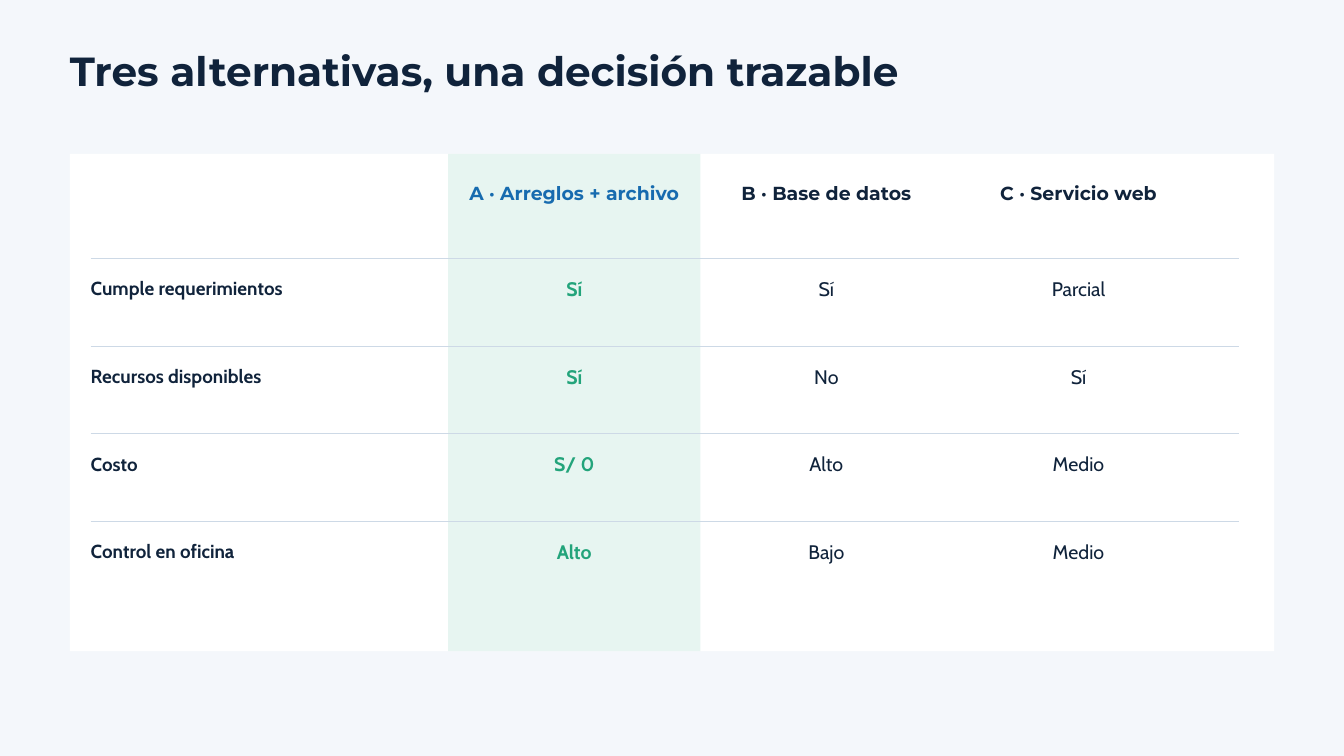
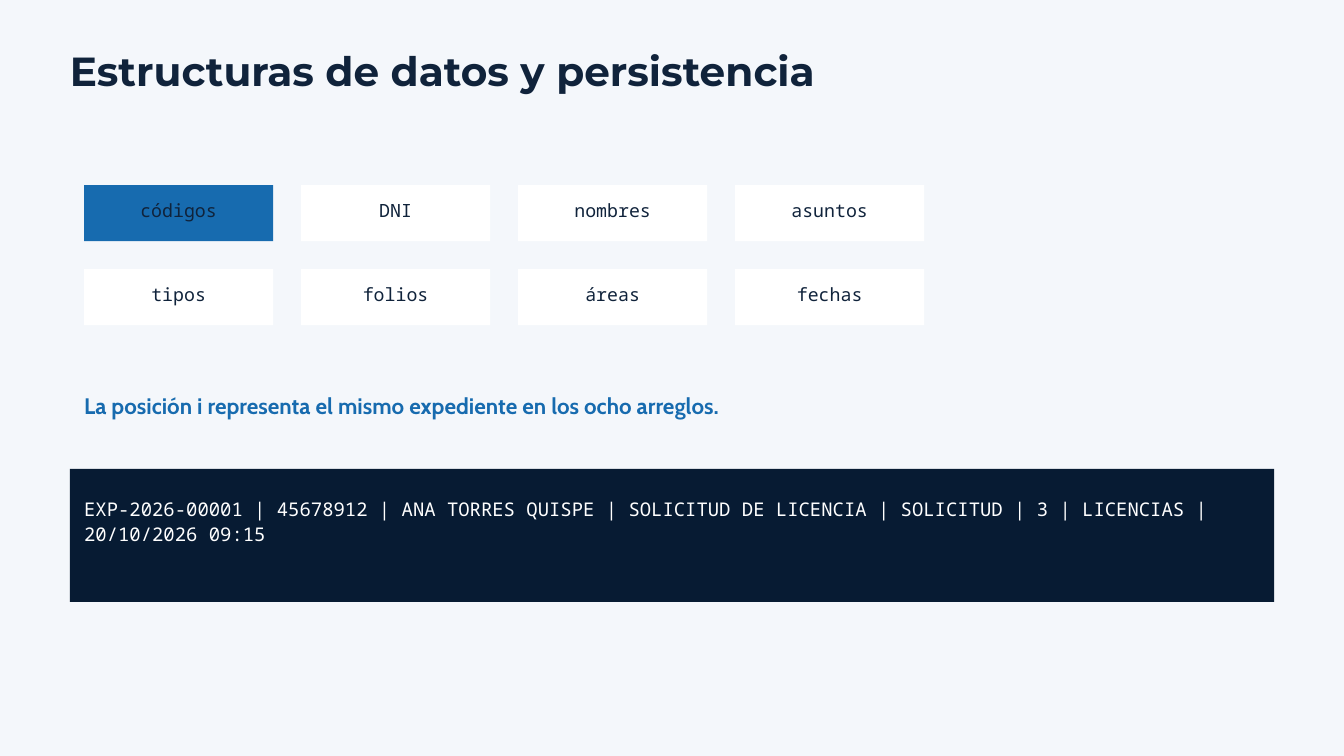
from lxml import etree
from pptx import Presentation
from pptx import util as u
from pptx.dml import color as clr
from pptx.enum import shapes, text
from pptx.oxml import ns

INK, BLUE, GREEN, WHITE = "10233B", "176BAF", "23A47B", "FFFFFF"
PAPER, MINT, RULE, NIGHT = "F4F7FB", "E7F5F1", "CDD9E6", "071B33"
LEFT, PANEL_W = 2.64, 45.52

# Text styles: font values, colour and line spacing in points
STYLES = {
    "title": (dict(name="Montserrat", size=u.Pt(43.5), bold=True), INK, 45.7),
    "head": (dict(name="Montserrat", size=u.Pt(20.25), bold=True), INK, 21.3),
    "label": (dict(name="Cabin", size=u.Pt(20.25), bold=True), INK, 27.35),
    "value": (dict(name="Cabin", size=u.Pt(21), bold=False), INK, 28.4),
    "chosen": (dict(name="Cabin", size=u.Pt(21), bold=True), GREEN, 28.4),
    "tile": (dict(name="Noto Sans Mono", size=u.Pt(19.5), bold=False), INK, 26.3),
    "note": (dict(name="Cabin", size=u.Pt(24), bold=True), BLUE, 32.4),
    "record": (dict(name="Noto Sans Mono", size=u.Pt(20.25), bold=False), WHITE, 27.35),
}

CRITERIA = [
    ("", "A · Arreglos + archivo", "B · Base de datos", "C · Servicio web"),
    ("Cumple requerimientos", "Sí", "Sí", "Parcial"),
    ("Recursos disponibles", "Sí", "No", "Sí"),
    ("Costo", "S/ 0", "Alto", "Medio"),
    ("Control en oficina", "Alto", "Bajo", "Medio"),
]
ARRAYS = ["códigos", "DNI", "nombres", "asuntos", "tipos", "folios", "áreas", "fechas"]
RECORD = ("EXP-2026-00001 | 45678912 | ANA TORRES QUISPE | SOLICITUD DE LICENCIA"
          " | SOLICITUD | 3 | LICENCIAS | 20/10/2026 09:15")


def rgb(value):
    return clr.RGBColor.from_string(value)


def paint(fill, color):
    fill.solid()
    fill.fore_color.rgb = rgb(color)


def set_margins(obj, left=0, top=0, right=0, bottom=0):
    """Set the margins of a text frame or a table cell, in cm."""
    for side, size in dict(left=left, top=top, right=right, bottom=bottom).items():
        setattr(obj, f"margin_{side}", u.Cm(size))


def write(tf, words, style, centred=False, color=None):
    font, ink, spacing = STYLES[style]
    tf.word_wrap = True
    p = tf.paragraphs[0]
    p.alignment = text.PP_ALIGN.CENTER if centred else text.PP_ALIGN.LEFT
    p.line_spacing = u.Pt(spacing)
    r = p.add_run()
    r.text = words
    for name, value in font.items():
        setattr(r.font, name, value)
    r.font.color.rgb = rgb(color or ink)


def add_text(s, box, words, style):
    tf = s.shapes.add_textbox(*map(u.Cm, box)).text_frame
    set_margins(tf)
    write(tf, words, style)


def add_panel(s, box, color):
    sp = s.shapes.add_shape(shapes.MSO_SHAPE.RECTANGLE, *map(u.Cm, box))
    sp.shadow.inherit = False
    sp.line.fill.background()
    paint(sp.fill, color)
    sp.text_frame.vertical_anchor = text.MSO_ANCHOR.TOP
    return sp


def add_rule(s, x, y, w):
    line = s.shapes.add_connector(shapes.MSO_CONNECTOR.STRAIGHT,
                                  *map(u.Cm, (x, y, x + w, y)))
    line.line.color.rgb = rgb(RULE)
    line.line.width = u.Pt(1.5)
    etree.SubElement(line._element.spPr, ns.qn("a:effectLst"))


def clear_cell(cell):
    """Leave a table cell without fill and borders."""
    cell.fill.background()
    tc_pr = cell._tc.get_or_add_tcPr()
    for i, side in enumerate("LRTB"):
        ln = etree.Element(ns.qn(f"a:ln{side}"))
        etree.SubElement(ln, ns.qn("a:noFill"))
        tc_pr.insert(i, ln)


def add_comparison(s, box):
    """White panel with the table of alternatives, the chosen column tinted."""
    x, y, w, h = box
    indent, end_gap, option_w, spare = 0.79, 1.32, 9.53, 1.31
    table_x, table_w = x + indent, w - indent - end_gap
    widths = [table_w - 3 * option_w - spare, option_w, option_w, option_w + spare]
    heights = [3.96, 3.31, 3.31, 3.31]
    heights.append(h - sum(heights))

    add_panel(s, box, WHITE)
    add_panel(s, (table_x + widths[0], y, option_w, h), MINT)
    for i in range(1, len(heights)):
        add_rule(s, table_x, y + sum(heights[:i]), table_w)

    table = s.shapes.add_table(len(heights), len(widths),
                               *map(u.Cm, (table_x, y, table_w, h))).table
    table.first_row = table.horz_banding = False
    for col, width in zip(table.columns, widths):
        col.width = u.Cm(width)
    for i, (row, height, entries) in enumerate(zip(table.rows, heights, CRITERIA)):
        row.height = u.Cm(height)
        for j, (cell, words) in enumerate(zip(row.cells, entries)):
            chosen = j == 1
            set_margins(cell, top=0.62 if i else 1.17, right=spare if j == 3 else 0)
            cell.vertical_anchor = text.MSO_ANCHOR.TOP
            clear_cell(cell)
            if i == 0:
                style = "head"
            else:
                style = "label" if j == 0 else "chosen" if chosen else "value"
            if words:
                write(cell.text_frame, words, style, j > 0,
                      BLUE if chosen and i == 0 else None)


def add_tiles(s, box, cols=4, gap=1.06):
    """Grid of array names; the first one is highlighted."""
    x, y, w, h = box
    rows = len(ARRAYS) // cols
    tile_w = (w - (cols - 1) * gap) / cols
    tile_h = (h - (rows - 1) * gap) / rows
    for i, name in enumerate(ARRAYS):
        row, col = divmod(i, cols)
        sp = add_panel(s, (x + col * (tile_w + gap), y + row * (tile_h + gap), tile_w, tile_h),
                       WHITE if i else BLUE)
        set_margins(sp.text_frame, 0.26, 0.45, 0.26)
        write(sp.text_frame, name, "tile", centred=True)


def add_record(s, box):
    tf = add_panel(s, box, NIGHT).text_frame
    set_margins(tf, 0.54, 0.97, 0.53)
    write(tf, RECORD, "record")


def new_slide(prs, title):
    s = prs.slides.add_slide(prs.slide_layouts[6])
    paint(s.background.fill, PAPER)
    add_text(s, (LEFT, 1.98, 39.68, 1.63), title, "title")
    return s


def main():
    prs = Presentation()
    prs.slide_width, prs.slide_height = u.Cm(50.8), u.Cm(28.58)

    s = new_slide(prs, "Tres alternativas, una decisión trazable")
    add_comparison(s, (LEFT, 5.82, PANEL_W, 18.8))

    s = new_slide(prs, "Estructuras de datos y persistencia")
    add_tiles(s, (3.18, 7.0, 31.75, 5.29))
    add_text(s, (3.18, 14.71, 30.68, 1.12),
             "La posición i representa el mismo expediente en los ocho arreglos.", "note")
    add_record(s, (LEFT, 17.73, PANEL_W, 5.03))

    prs.save("out.pptx")


if __name__ == "__main__":
    main()
